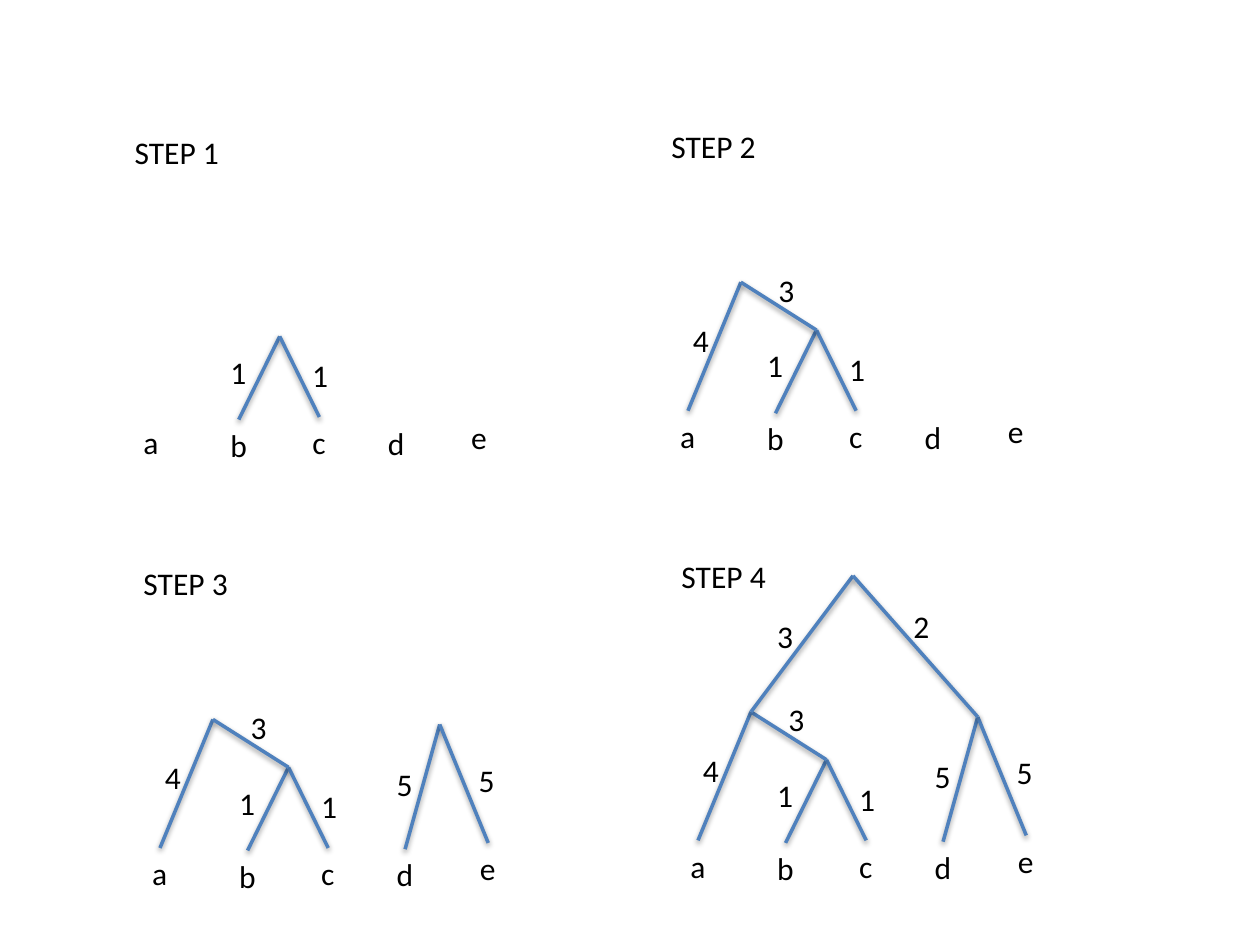
"""Build a slide showing a tree joined from five leaves in four steps."""
import pptx
import pptx.dml.color
import pptx.enum.shapes
import pptx.enum.text
import pptx.oxml
import pptx.oxml.ns
import pptx.util

PX = 9144
SLIDE = (1000, 750)
THEME = {
    "font": "Calibri",
    "size": pptx.util.Pt(18),
    "text": pptx.dml.color.RGBColor(0x00, 0x00, 0x00),
    "branch": pptx.dml.color.RGBColor(0x4F, 0x81, 0xBD),
    "branch_width": pptx.util.Pt(2),
}
SHADOW = (
    f'<a:effectLst {pptx.oxml.ns.nsdecls("a")}>'
    '<a:outerShdw blurRad="40000" dist="20000" dir="5400000" rotWithShape="0">'
    '<a:srgbClr val="000000"><a:alpha val="38000"/></a:srgbClr>'
    "</a:outerShdw></a:effectLst>"
)

STEPS = [
    ("STEP 1", (104, 331)),
    ("STEP 2", (530, 326)),
    ("STEP 3", (111, 673)),
    ("STEP 4", (538, 667)),
]
TITLE_OFFSET = (-7, -230)
TITLE_WIDTH = 88
LABEL_WIDTH = 33
TEXT_HEIGHT = 40

LEAVES = {
    "a": (0, 0, 32),
    "b": (69, 2, 33),
    "c": (134, 0, 31),
    "d": (194, 1, 33),
    "e": (260, -4, 33),
}
JOINTS = {
    "bc": (118, -64),
    "abc": (58, -102),
    "de": (238, -98),
    "abcde": (139, -210),
}
MERGES = [
    ("bc", [("b", "1", (69, -56)), ("c", "1", (134, -53))]),
    ("abc", [("a", "4", (10, -76)), ("bc", "3", (78, -116))]),
    ("de", [("d", "5", (194, -71)), ("e", "5", (259, -74))]),
    ("abcde", [("abc", "3", (69, -182)), ("de", "2", (177, -190))]),
]


def shift(origin, offset):
    return origin[0] + offset[0], origin[1] + offset[1]


def add_text(panel, text, position, width):
    box = panel.shapes.add_textbox(*(v * PX for v in (*position, width, TEXT_HEIGHT)))
    frame = box.text_frame
    frame.word_wrap = False
    frame.auto_size = pptx.enum.text.MSO_AUTO_SIZE.SHAPE_TO_FIT_TEXT
    frame.text = text
    font = frame.paragraphs[0].font
    font.name, font.size = THEME["font"], THEME["size"]
    font.color.rgb = THEME["text"]
    return box


def add_branch(panel, start, end, leaf_box):
    branch = panel.shapes.add_connector(
        pptx.enum.shapes.MSO_CONNECTOR.STRAIGHT, *(v * PX for v in (*start, *end))
    )
    branch.line.color.rgb = THEME["branch"]
    branch.line.width = THEME["branch_width"]
    branch._element.spPr.append(pptx.oxml.parse_xml(SHADOW))
    if leaf_box is not None:
        branch.end_connect(leaf_box, 0)


def add_step(slide, title, origin, merges):
    panel = slide.shapes.add_group_shape()
    add_text(panel, title, shift(origin, TITLE_OFFSET), TITLE_WIDTH)
    leaf_boxes = {}
    ends = dict(JOINTS)
    for leaf, (x, y, width) in LEAVES.items():
        leaf_boxes[leaf] = add_text(panel, leaf, shift(origin, (x, y)), width)
        ends[leaf] = (x + width // 2, y)
    for joint, branches in merges:
        for child, weight, label_offset in branches:
            add_branch(
                panel,
                shift(origin, ends[joint]),
                shift(origin, ends[child]),
                leaf_boxes.get(child),
            )
            add_text(panel, weight, shift(origin, label_offset), LABEL_WIDTH)


def main():
    deck = pptx.Presentation()
    deck.slide_width, deck.slide_height = (v * PX for v in SLIDE)
    slide = deck.slides.add_slide(deck.slide_layouts[6])
    for count, (title, origin) in enumerate(STEPS, start=1):
        add_step(slide, title, origin, MERGES[:count])
    deck.save("out.pptx")


if __name__ == "__main__":
    main()
